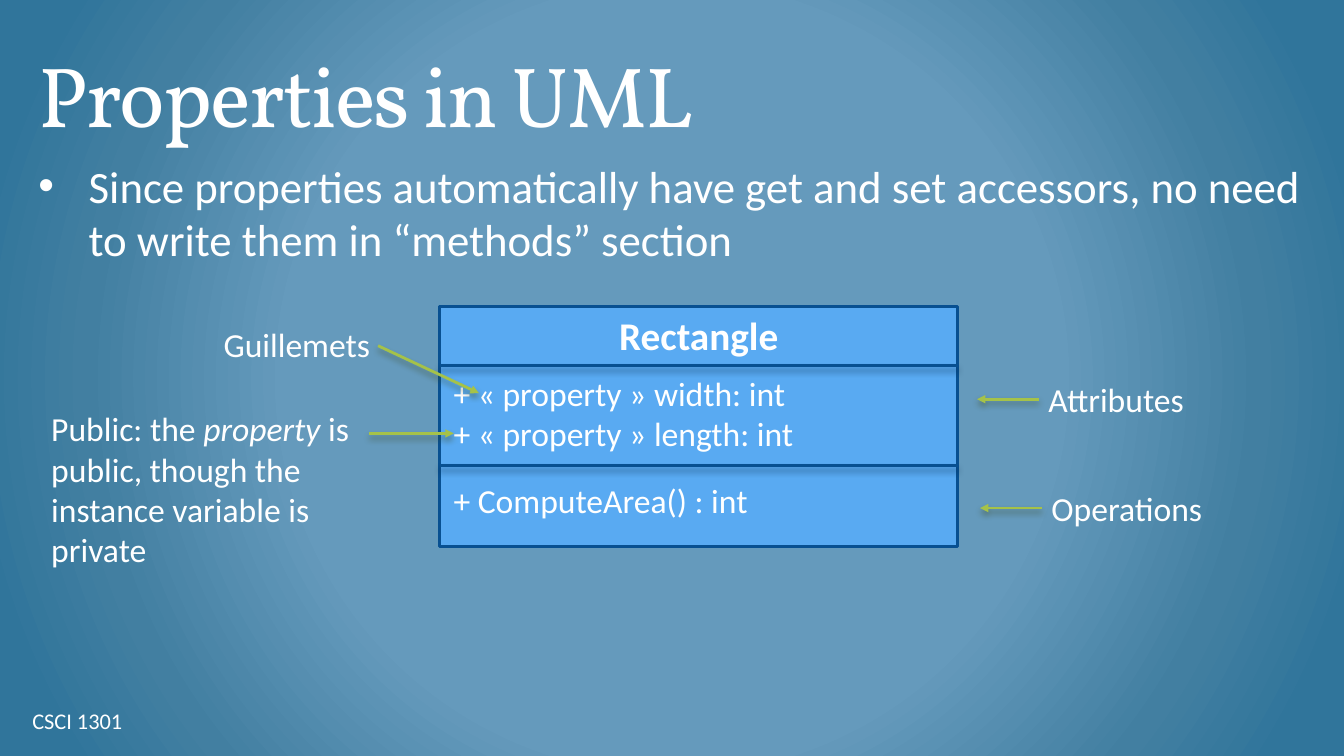
import pptx
import pptx.util
import pptx.dml.color
import pptx.enum.shapes
import pptx.enum.text
import pptx.oxml.ns
from lxml import etree

Inches, Pt = pptx.util.Inches, pptx.util.Pt
RGB = pptx.dml.color.RGBColor.from_string
ANCHOR = pptx.enum.text.MSO_ANCHOR
ALIGN = pptx.enum.text.PP_ALIGN
FIT = pptx.enum.text.MSO_AUTO_SIZE

# Content: each paragraph is a list of runs
TITLE = [["Properties in UML"]]
BULLET = [["Since properties automatically have get and set accessors, "
           "no need to write them in “methods” section"]]
FOOTER = [["CSCI 1301"]]
CLASS_NAME = [["Rectangle"]]
ATTRIBUTES = [["+ « property » width: int"], ["+ « property » length: int"]]
OPERATIONS = [["+ ComputeArea() : int"]]
PUBLIC_NOTE = [["Public: the ", ("property", "italic"),
                " is public, though the instance variable is private"]]

THEME = {
    "title_font": "Vollkorn", "body_font": "Calibri",
    "title": 61, "bullet": 32, "class": 28, "label": 24, "footer": 16,
    "text": "FFFFFF", "box": "59AAF2", "border": "085091", "arrow": "A5C249",
    "border_shadow": "042747", "arrow_shadow": "3A4519", "line": 2,
    "background": [(50, "659ABC"), (76, "427FA1"), (92, "30759B")],
}

# Layout, in inches
MARGIN, CONTENT_W = 0.25, 12.83
BOX_X, BOX_Y, BOX_W, BOX_H = 4.36, 3.04, 5.14, 2.38
DIVIDERS = [3.63, 4.62]
LABEL_H, ARROW_W = 0.5, 0.61
PLACEHOLDER_INSETS = (0.13, 0.07, 0.13, 0.07)
LABELS = [  # left, top, width, height, paragraphs, wrap
    (4.4, 3.65, 3.67, 0.91, ATTRIBUTES, False),
    (4.4, 4.71, 3.27, LABEL_H, OPERATIONS, False),
    (0.41, 4, 3.42, 1.72, PUBLIC_NOTE, True),
    (2.12, 3.16, 1.8, LABEL_H, [["Guillemets"]], True),
]
SIDE_LABELS = [  # left, top, width, text; an arrow leaves the left edge
    (10.3, 3.71, 1.65, "Attributes"),
    (10.33, 4.79, 1.78, "Operations"),
]
NOTE_ARROWS = [(3.66, 4.3, 4.5, 4.3), (3.75, 3.43, 4.75, 3.9)]


def add_xml(parent, tag, **attrs):
    return etree.SubElement(parent, pptx.oxml.ns.qn("a:" + tag),
                            {k: str(v) for k, v in attrs.items()})


def write(tf, paragraphs, size, font=THEME["body_font"], bold=None):
    for i, runs in enumerate(paragraphs):
        p = tf.paragraphs[0] if i == 0 else tf.add_paragraph()
        for run in runs:
            text, style = run if isinstance(run, tuple) else (run, None)
            r = p.add_run()
            r.text = text
            r.font.name, r.font.size, r.font.bold = font, Pt(size), bold
            r.font.italic = True if style == "italic" else None
            r.font.color.rgb = RGB(THEME["text"])


def add_text(x, y, w, h, paragraphs, size, wrap=True, insets=None,
             anchor=ANCHOR.TOP, fit=FIT.NONE, font=THEME["body_font"]):
    sp = slide.shapes.add_textbox(Inches(x), Inches(y), Inches(w), Inches(h))
    tf = sp.text_frame
    tf.word_wrap, tf.vertical_anchor, tf.auto_size = wrap, anchor, fit
    if insets:
        (tf.margin_left, tf.margin_top,
         tf.margin_right, tf.margin_bottom) = map(Inches, insets)
    write(tf, paragraphs, size, font)
    return tf


def add_label(x, y, w, h, paragraphs, wrap=False):
    add_text(x, y, w, h, paragraphs, THEME["label"], wrap, fit=FIT.SHAPE_TO_FIT_TEXT)


def add_line(x1, y1, x2, y2, kind):
    line = slide.shapes.add_connector(pptx.enum.shapes.MSO_CONNECTOR.STRAIGHT,
                                      *map(Inches, (x1, y1, x2, y2)))
    line.line.color.rgb = RGB(THEME[kind])
    line.line.width = Pt(THEME["line"])
    sp_pr = line.element.spPr
    if kind == "arrow":
        add_xml(sp_pr.find(pptx.oxml.ns.qn("a:ln")), "tailEnd", type="triangle")
    shadow = add_xml(add_xml(sp_pr, "effectLst"), "outerShdw", blurRad=Pt(4.5),
                     dist=Pt(3), dir=90 * 60000, rotWithShape=0)
    color = add_xml(shadow, "srgbClr", val=THEME[kind + "_shadow"])
    add_xml(color, "alpha", val=48000)


prs = pptx.Presentation()
prs.slide_width, prs.slide_height = Inches(13.33), Inches(7.5)
slide = prs.slides.add_slide(prs.slide_layouts[6])

# Radial background
slide.background.fill.gradient()
grad = next(slide.element.iter(pptx.oxml.ns.qn("a:gradFill")))
for child in list(grad):
    grad.remove(child)
stops = add_xml(grad, "gsLst")
for pos, color in THEME["background"]:
    add_xml(add_xml(stops, "gs", pos=pos * 1000), "srgbClr", val=color)
circle = add_xml(grad, "path", path="circle")
add_xml(circle, "fillToRect", l=50000, t=50000, r=50000, b=50000)

# Title, bullet and footer
tf = add_text(MARGIN, 0.25, CONTENT_W, 1.25, TITLE, THEME["title"],
              insets=PLACEHOLDER_INSETS, anchor=ANCHOR.BOTTOM,
              font=THEME["title_font"])
p = tf.paragraphs[0]
p.line_spacing = Pt(77.3)
p.runs[0].font._element.set("spc", "-130")

tf = add_text(MARGIN, 1.5, CONTENT_W, 5.2, BULLET, THEME["bullet"],
              insets=PLACEHOLDER_INSETS)
p_pr = tf.paragraphs[0]._p.get_or_add_pPr()
p_pr.set("marL", str(Inches(0.5)))
p_pr.set("indent", str(Inches(-0.5)))
add_xml(p_pr, "buFont", typeface="Arial")
add_xml(p_pr, "buChar", char="•")

add_text(MARGIN, 6.95, 4.15, 0.4, FOOTER, THEME["footer"],
         insets=(0.07, 0.07, 0.13, 0.07), anchor=ANCHOR.MIDDLE)

# Class box with its dividers
box = slide.shapes.add_shape(pptx.enum.shapes.MSO_SHAPE.RECTANGLE,
                             *map(Inches, (BOX_X, BOX_Y, BOX_W, BOX_H)))
box.shadow.inherit = False
box.fill.solid()
box.fill.fore_color.rgb = RGB(THEME["box"])
box.line.color.rgb = RGB(THEME["border"])
box.line.width = Pt(THEME["line"])
box.text_frame.vertical_anchor = ANCHOR.TOP
write(box.text_frame, CLASS_NAME, THEME["class"], bold=True)
box.text_frame.paragraphs[0].alignment = ALIGN.CENTER
for y in DIVIDERS:
    add_line(BOX_X, y, BOX_X + BOX_W, y, "border")

# Members and callouts
for label in LABELS:
    add_label(*label)
for x, y, w, text in SIDE_LABELS:
    add_label(x, y, w, LABEL_H, [[text]])
    middle = y + LABEL_H / 2
    add_line(x, middle, x - ARROW_W, middle, "arrow")
for ends in NOTE_ARROWS:
    add_line(*ends, "arrow")

prs.save("out.pptx")
